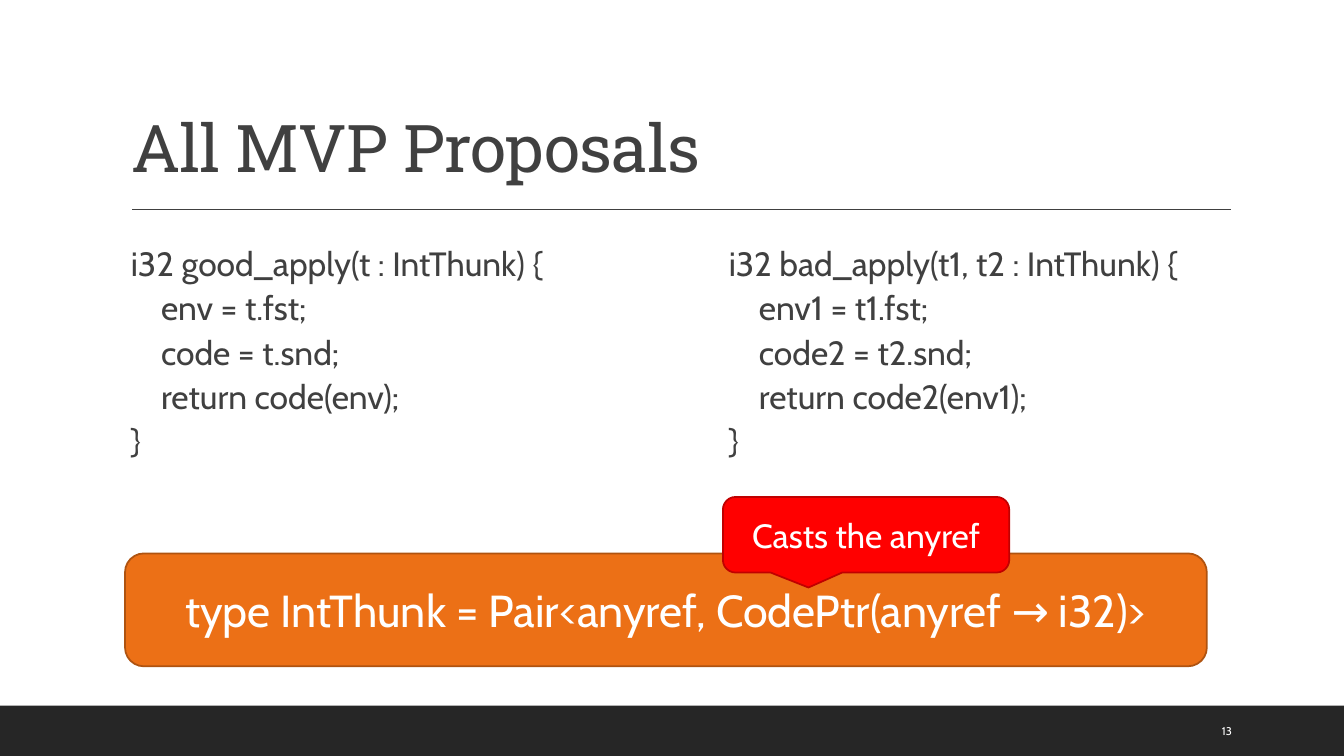
"""Build the slide comparing two apply functions under all MVP proposals."""
from lxml import etree
from pptx import Presentation
from pptx.dml.color import RGBColor
from pptx.enum.shapes import MSO_CONNECTOR, MSO_SHAPE
from pptx.enum.text import MSO_ANCHOR, MSO_AUTO_SIZE, PP_ALIGN
from pptx.oxml.ns import qn
from pptx.util import Inches, Pt

RECTANGLE = MSO_SHAPE.RECTANGLE
ROUNDED = MSO_SHAPE.ROUNDED_RECTANGLE
CALLOUT = MSO_SHAPE.ROUNDED_RECTANGULAR_CALLOUT
STRAIGHT = MSO_CONNECTOR.STRAIGHT
MIDDLE, BOTTOM = MSO_ANCHOR.MIDDLE, MSO_ANCHOR.BOTTOM
LEFT, CENTER = PP_ALIGN.LEFT, PP_ALIGN.CENTER
NO_AUTOFIT = MSO_AUTO_SIZE.NONE
DARK, WHITE = "404040", "FFFFFF"


def color(hex_string):
    return RGBColor.from_string(hex_string)


def write(shape, text, size, hex_string, font="Cabin", align=LEFT, anchor=MIDDLE):
    frame = shape.text_frame
    frame.word_wrap = True
    frame.auto_size = NO_AUTOFIT
    frame.vertical_anchor = anchor
    paragraph = frame.paragraphs[0]
    paragraph.alignment = align
    for index, line in enumerate(text.split("\n")):
        if index:
            paragraph.add_line_break()
        run = paragraph.add_run()
        run.text = line
        run.font.size = Pt(size)
        run.font.name = font
        run.font.color.rgb = color(hex_string)
    return paragraph


presentation = Presentation()
presentation.slide_width = Inches(13.33)
presentation.slide_height = Inches(7.5)
slide = presentation.slides.add_slide(presentation.slide_layouts[5])
shapes = slide.shapes

footer = shapes.add_shape(RECTANGLE, 0, Inches(7), Inches(13.33), Inches(0.5))
footer.shadow.inherit = False
footer.fill.solid()
footer.fill.fore_color.rgb = color("262626")
footer.line.fill.background()

rule = shapes.add_connector(STRAIGHT, Inches(1.31), Inches(2.08), Inches(12.21), Inches(2.08))
rule.line.color.rgb = color(DARK)
rule.line.width = Pt(1)
etree.SubElement(rule.element.spPr, qn("a:effectLst"))

title = shapes.title
title.left, title.top = Inches(1.2), Inches(0.31)
title.width, title.height = Inches(11), Inches(1.59)
heading = write(title, "All MVP Proposals", 47, DARK, "Roboto Slab", anchor=BOTTOM)
heading.line_spacing = 0.9
heading.runs[0].font.element.set("spc", "-50") if hasattr(heading.runs[0].font, "element") else heading.runs[0]._r.get_or_add_rPr().set("spc", "-50")

GOOD_CODE = """i32 good_apply(t : IntThunk) {
    env = t.fst;
    code = t.snd;
    return code(env);
}"""
BAD_CODE = """i32 bad_apply(t1, t2 : IntThunk) {
    env1 = t1.fst;
    code2 = t2.snd;
    return code2(env1);
}"""
for left, code in ((1.2, GOOD_CODE), (7.13, BAD_CODE)):
    column = shapes.add_textbox(Inches(left), Inches(2.32), Inches(5.07), Inches(4.1))
    paragraph = write(column, code, 24, DARK, anchor=MSO_ANCHOR.TOP)
    paragraph.line_spacing = 1.1
    column.text_frame.margin_right = 0

page_number = shapes.add_textbox(Inches(12.02), Inches(7.05), Inches(0.85), Inches(0.4))
write(page_number, "13", 8, WHITE)

boxes = (
    (ROUNDED, (1.24, 5.49, 10.73, 1.12), "EC7016", "AF5310", 32,
     "type IntThunk = Pair<anyref, CodePtr(anyref → i32)>", (0.167,)),
    (CALLOUT, (7.17, 4.93, 2.84, 0.75), "FF0000", "C00000", 24,
     "Casts the anyref", (-0.201, 0.698, 0.167)),
)
for preset, place, fill, outline, size, text, adjustments in boxes:
    box = shapes.add_shape(preset, *(Inches(length) for length in place))
    for index, value in enumerate(adjustments):
        box.adjustments[index] = value
    box.shadow.inherit = False
    box.fill.solid()
    box.fill.fore_color.rgb = color(fill)
    box.line.color.rgb = color(outline)
    box.line.width = Pt(1.25)
    write(box, text, size, WHITE, align=CENTER)

presentation.save("out.pptx")
